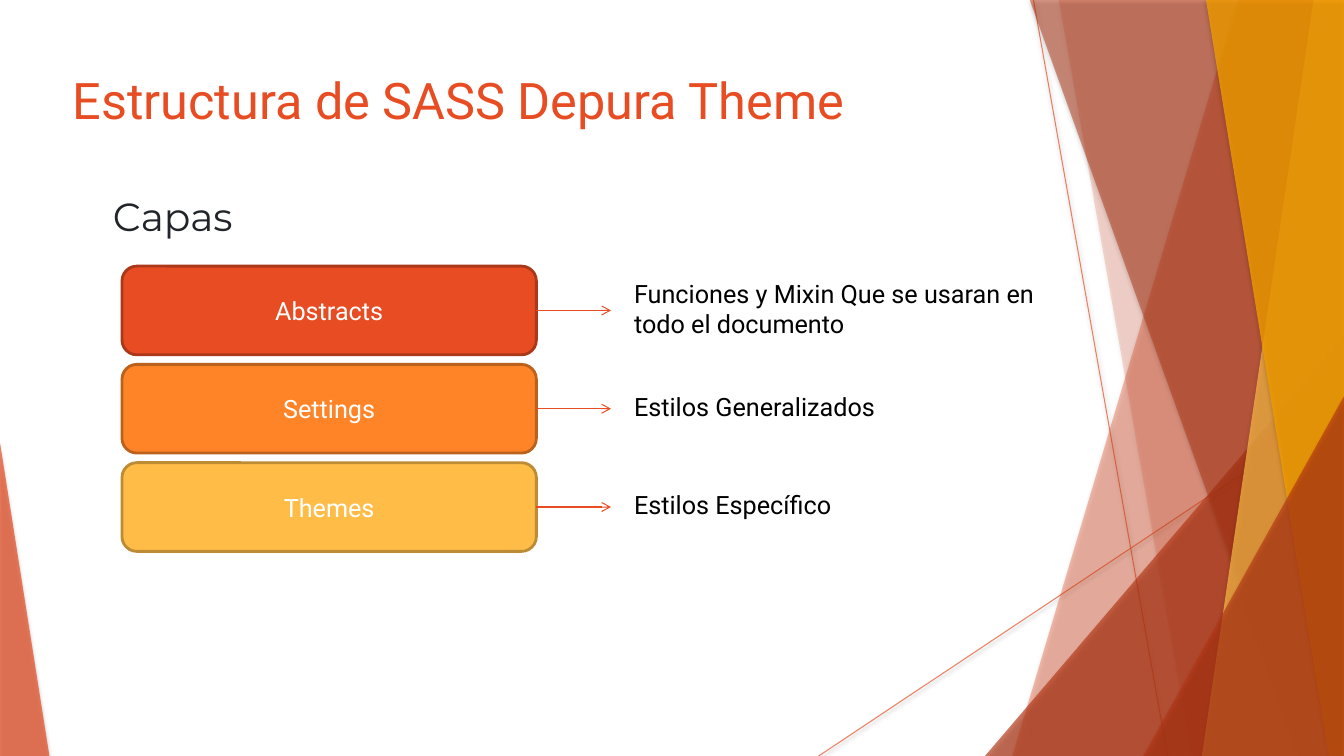
from lxml import etree
from pptx import Presentation
from pptx.dml.color import RGBColor
from pptx.enum import shapes, text
from pptx.oxml.ns import qn
from pptx.util import Inches, Pt

COLORS = {
    "red": "E84C22", "brick": "B53513", "orange": "FF8427", "amber": "FFBD47",
    "gold": "F49D00", "red_edge": "AB3819", "orange_edge": "BC611C",
    "amber_edge": "BC8B34", "ink": "212529", "black": "000000", "white": "FFFFFF",
}
WIDTH, HEIGHT = 13.33, 7.5
TITLE = "Estructura de SASS Depura Theme"
SUBTITLE = "Capas"
LAYERS = [
    ("Abstracts", "Funciones y Mixin Que se usaran en todo el documento", "red", 0.7),
    ("Settings", "Estilos Generalizados", "orange", 0.4),
    ("Themes", "Estilos Específico", "amber", 0.4),
]
RAYS = [((10.25, 0), (11.58, HEIGHT)), ((WIDTH, 4.03), (8.12, HEIGHT))]
FACETS = [
    ("band", 12.28, 10.04, "red", 36),
    ("band", 10.5, 11.82, "red", 20),
    ("corner", (9.77, 3.33, 3.56), 1, "brick", 66),
    ("band", 10.21, 12.91, "brick", 50),
    ("band", 13.03, 11.92, "amber", 70),
    ("band", 11.96, 13.18, "gold", 80),
    ("corner", (11.34, 3.93, 1.99), 1, "brick", 66),
    ("corner", (0, 4.39, 0.49), 0, "red", 70),
]
LAYER_LEFT, LAYER_TOP, LAYER_PITCH = 1.21, 2.64, 0.975
LAYER_WIDTH, LAYER_HEIGHT = 4.11, 0.88
ARROW_LENGTH = 0.74
NOTE_LEFT, NOTE_WIDTH = 6.19, 4.26

deck = Presentation()
deck.slide_width, deck.slide_height = Inches(WIDTH), Inches(HEIGHT)
slide = deck.slides.add_slide(deck.slide_layouts[6])
parts = slide.shapes


def rgb(name):
    return RGBColor.from_string(COLORS[name])


def set_alpha(shape, percent):
    for color in shape._element.spPr.iter(qn("a:srgbClr")):
        etree.SubElement(color, qn("a:alpha"), val=str(percent * 1000))


def set_shadow(shape, opacity=0, blur=0, distance=0):
    effects = etree.SubElement(shape._element.spPr, qn("a:effectLst"))
    if opacity:
        cast = etree.SubElement(effects, qn("a:outerShdw"), blurRad=str(Pt(blur)),
                                dist=str(Pt(distance)), dir="5400000", rotWithShape="0")
        color = etree.SubElement(cast, qn("a:srgbClr"), val=COLORS["black"])
        etree.SubElement(color, qn("a:alpha"), val=str(opacity * 1000))


def add_line(start, end):
    line = parts.add_connector(shapes.MSO_CONNECTOR.STRAIGHT,
                               *(Inches(v) for v in (*start, *end)))
    line.line.color.rgb = rgb("red")
    line.line.width = Pt(0.75)
    return line


def add_band(top_x, bottom_x):
    corners = [(Inches(x), Inches(y)) for x, y in
               ((top_x, -0.01), (WIDTH, -0.01), (WIDTH, HEIGHT), (bottom_x, HEIGHT))]
    builder = parts.build_freeform(*corners[0])
    builder.add_line_segments(corners[1:], close=True)
    return builder.convert_to_shape()


def add_corner(place, apex):
    left, top, width = place
    corner = parts.add_shape(shapes.MSO_SHAPE.ISOSCELES_TRIANGLE, Inches(left),
                             Inches(top), Inches(width), Inches(HEIGHT - top))
    corner.adjustments[0] = apex
    return corner


def write(shape, words, size, color, font="Roboto", align=text.PP_ALIGN.LEFT):
    shape.text_frame.word_wrap = True
    paragraph = shape.text_frame.paragraphs[0]
    paragraph.text = words
    paragraph.alignment = align
    paragraph.font.size = Pt(size)
    paragraph.font.name = font
    paragraph.font.color.rgb = rgb(color)


def add_text(place, words, size, color, font="Roboto", inset=(0, 0)):
    box = parts.add_textbox(*(Inches(v) for v in place))
    frame = box.text_frame
    frame.margin_left = frame.margin_right = Inches(inset[0])
    frame.margin_top = frame.margin_bottom = Inches(inset[1])
    write(box, words, size, color, font)


for start, end in RAYS:
    ray = add_line(start, end)
    set_alpha(ray, 70)
    set_shadow(ray, 38, 3.1, 1.6)

for kind, place, end, color, opacity in FACETS:
    facet = add_band(place, end) if kind == "band" else add_corner(place, end)
    facet.fill.solid()
    facet.fill.fore_color.rgb = rgb(color)
    facet.line.fill.background()
    set_alpha(facet, opacity)
    set_shadow(facet, 35, 3, 2)

add_text((0.72, 0.69, 9.4, 1.44), TITLE, 36, "red")
add_text((1.12, 1.91, 2.09, 0.58), SUBTITLE, 28, "ink", "Montserrat")

for row, (name, note, color, note_height) in enumerate(LAYERS):
    top = LAYER_TOP + row * LAYER_PITCH
    middle = top + LAYER_HEIGHT / 2
    right = LAYER_LEFT + LAYER_WIDTH

    layer = parts.add_shape(shapes.MSO_SHAPE.ROUNDED_RECTANGLE, Inches(LAYER_LEFT),
                            Inches(top), Inches(LAYER_WIDTH), Inches(LAYER_HEIGHT))
    layer.fill.solid()
    layer.fill.fore_color.rgb = rgb(color)
    layer.line.color.rgb = rgb(color + "_edge")
    layer.line.width = Pt(2)
    layer.shadow.inherit = False
    layer.text_frame.vertical_anchor = text.MSO_ANCHOR.MIDDLE
    write(layer, name, 18, "white", align=text.PP_ALIGN.CENTER)

    arrow = add_line((right, middle), (right + ARROW_LENGTH, middle))
    etree.SubElement(arrow.line._get_or_add_ln(), qn("a:tailEnd"), type="arrow")
    set_shadow(arrow)

    add_text((NOTE_LEFT, middle - 0.02 - note_height / 2, NOTE_WIDTH, note_height),
             note, 18, "black", inset=(0.1, 0.05))

deck.save("out.pptx")
